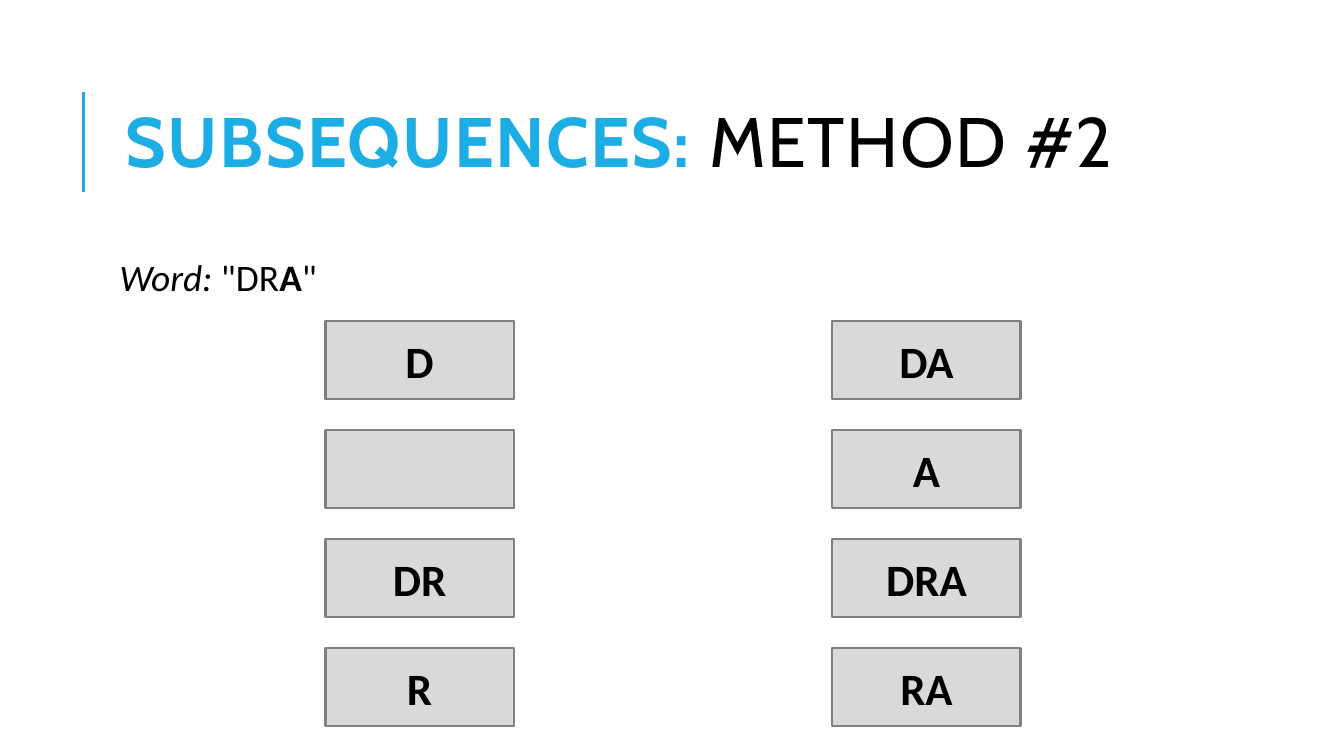
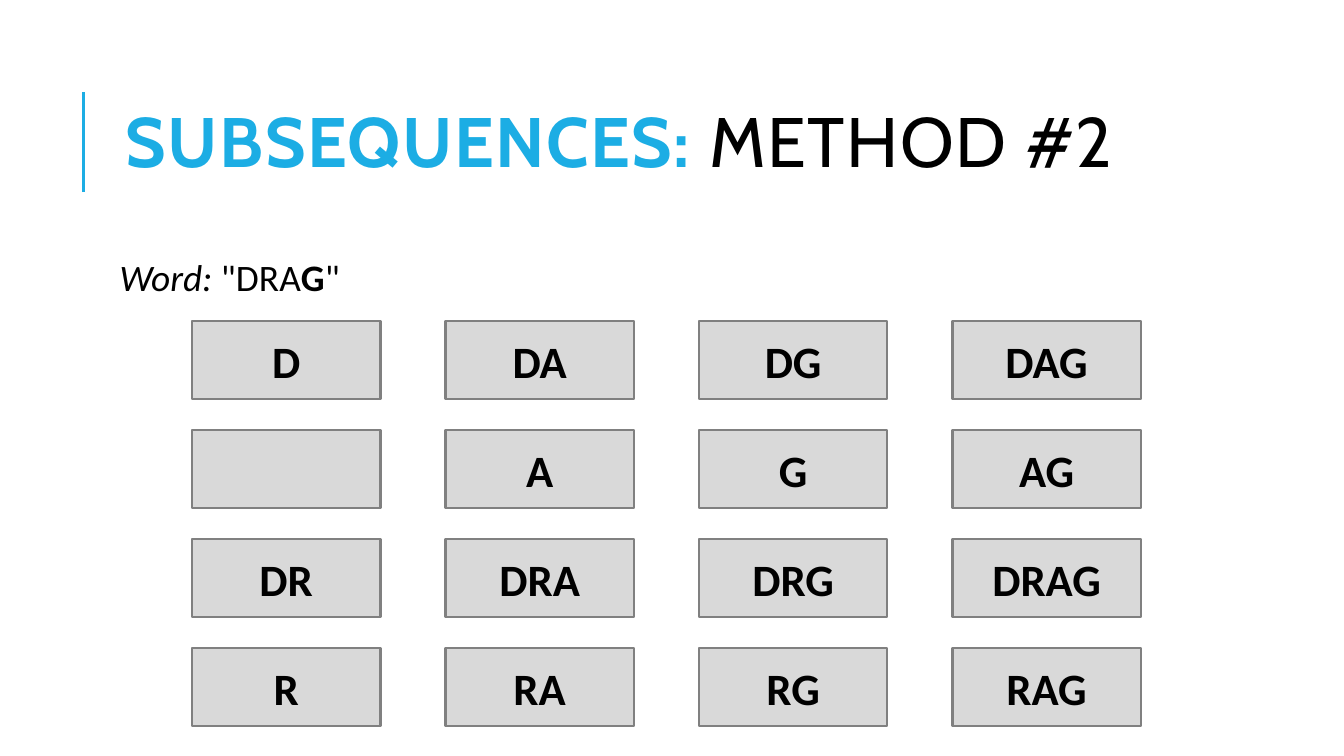
"""Build two slides that list the subsequences of a word, one letter at a time."""
from dataclasses import dataclass

from lxml import etree
from pptx import Presentation
from pptx.dml.color import RGBColor
from pptx.enum.shapes import MSO_CONNECTOR, MSO_SHAPE
from pptx.enum.text import MSO_ANCHOR, PP_ALIGN
from pptx.oxml.ns import qn
from pptx.slide import Slide
from pptx.text.text import _Paragraph as Paragraph
from pptx.util import Cm, Pt

RECTANGLE = MSO_SHAPE.RECTANGLE
STRAIGHT = MSO_CONNECTOR.STRAIGHT
MIDDLE = MSO_ANCHOR.MIDDLE
TOP = MSO_ANCHOR.TOP
CENTER = PP_ALIGN.CENTER


@dataclass(frozen=True)
class Theme:
    """Colours, fonts and type sizes of the deck."""

    accent: RGBColor = RGBColor(0x1C, 0xAD, 0xE4)
    ink: RGBColor = RGBColor(0, 0, 0)
    card_fill: RGBColor = RGBColor(0xD9, 0xD9, 0xD9)
    card_line: RGBColor = RGBColor(0x80, 0x80, 0x80)
    title_font: str = "Cabin"
    body_font: str = "Calibri"
    title_size: float = 37.5
    word_size: float = 20
    card_size: float = 24
    title_tracking: float = 0.8


@dataclass(frozen=True)
class Span:
    """A piece of text with its own style."""

    text: str
    font: str
    size: float
    color: RGBColor
    bold: bool = False
    italic: bool = False
    tracking: float = 0


@dataclass(frozen=True)
class Area:
    """A rectangle on the page, in centimetres."""

    left: float
    top: float
    width: float
    height: float

    def lengths(self) -> tuple[Cm, Cm, Cm, Cm]:
        """Return the rectangle as slide lengths."""
        return Cm(self.left), Cm(self.top), Cm(self.width), Cm(self.height)


@dataclass(frozen=True)
class WordPage:
    """A word, split before its newest letter, and the columns of its cards."""

    known: str
    newest: str
    endings: tuple[str, ...]
    left: float
    pitch: float


THEME = Theme()
TITLE_AREA = Area(2.13, 1.22, 20.24, 3.12)
WORD_AREA = Area(2.13, 4.78, 20.24, 1.65)
WORD_INSET = 0.13
RULE_LEFT, RULE_TOP, RULE_BOTTOM = 1.58, 1.73, 3.63
CARD_TOP, CARD_WIDTH, CARD_HEIGHT = 6.07, 3.56, 1.48
ROW_PITCH, COLUMN_PITCH = 2.06, 4.79
BEGINNINGS = ("D", "", "DR", "R")
PAGES = (
    WordPage("DR", "A", ("", "A"), 6.15, 2 * COLUMN_PITCH),
    WordPage("DRA", "G", ("", "A", "G", "AG"), 3.63, COLUMN_PITCH),
)


def add_span(para: Paragraph, span: Span) -> None:
    """Append a styled run to a paragraph."""
    run = para.add_run()
    run.text = span.text
    run.font.name = span.font
    run.font.size = Pt(span.size)
    run.font.color.rgb = span.color
    run.font.bold = span.bold
    run.font.italic = span.italic
    if span.tracking:
        run._r.get_or_add_rPr().set("spc", str(round(span.tracking * 100)))


def add_text(page: Slide, area: Area, spans: list[Span], anchor: MSO_ANCHOR) -> Paragraph:
    """Add a wrapping text box with one paragraph and return the paragraph."""
    frame = page.shapes.add_textbox(*area.lengths()).text_frame
    frame.word_wrap = True
    frame.vertical_anchor = anchor
    para = frame.paragraphs[0]
    for span in spans:
        add_span(para, span)
    return para


def add_title(page: Slide) -> None:
    """Draw the upright rule and the two-colour title."""
    rule = page.shapes.add_connector(
        STRAIGHT, Cm(RULE_LEFT), Cm(RULE_BOTTOM), Cm(RULE_LEFT), Cm(RULE_TOP))
    rule.line.color.rgb = THEME.accent
    rule.line.width = Pt(1.5)
    etree.SubElement(rule._element.spPr, qn("a:effectLst"))
    face = (THEME.title_font, THEME.title_size)
    spacing = THEME.title_tracking
    spans = [
        Span("SUBSEQUENCES: ", *face, THEME.accent, bold=True, tracking=spacing),
        Span("METHOD #2", *face, THEME.ink, tracking=spacing),
    ]
    add_text(page, TITLE_AREA, spans, MIDDLE).line_spacing = 0.8


def add_word(page: Slide, known: str, newest: str) -> None:
    """Write the word with its newest letter in bold."""
    style = (THEME.body_font, THEME.word_size, THEME.ink)
    spans = [
        Span("Word:", *style, italic=True),
        Span(f' "{known}', *style),
        Span(newest, *style, bold=True),
        Span('"', *style),
    ]
    para = add_text(page, WORD_AREA, spans, TOP)
    para.line_spacing = 0.9
    para.space_before = Pt(9)
    para.space_after = Pt(1.5)
    frame = page.shapes[-1].text_frame
    frame.margin_left = frame.margin_right = Cm(WORD_INSET)
    frame.margin_top = frame.margin_bottom = Cm(WORD_INSET)


def add_card(page: Slide, area: Area, label: str) -> None:
    """Draw a grey card, with its label if there is one."""
    card = page.shapes.add_shape(RECTANGLE, *area.lengths())
    card.shadow.inherit = False
    card.fill.solid()
    card.fill.fore_color.rgb = THEME.card_fill
    card.line.color.rgb = THEME.card_line
    card.line.width = Pt(1.25)
    if label:
        card.text_frame.vertical_anchor = MIDDLE
        para = card.text_frame.paragraphs[0]
        para.alignment = CENTER
        add_span(para, Span(label, THEME.body_font, THEME.card_size, THEME.ink, bold=True))


def add_cards(page: Slide, content: WordPage) -> None:
    """Draw one column of cards for each ending."""
    for column, ending in enumerate(content.endings):
        for row, beginning in enumerate(BEGINNINGS):
            area = Area(content.left + column * content.pitch,
                        CARD_TOP + row * ROW_PITCH, CARD_WIDTH, CARD_HEIGHT)
            add_card(page, area, beginning + ending)


def main() -> None:
    """Build and save the deck."""
    deck = Presentation()
    deck.slide_width, deck.slide_height = Cm(25.4), Cm(14.29)
    blank = deck.slide_layouts[6]
    for content in PAGES:
        page = deck.slides.add_slide(blank)
        add_title(page)
        add_word(page, content.known, content.newest)
        add_cards(page, content)
    deck.save("out.pptx")


main()
